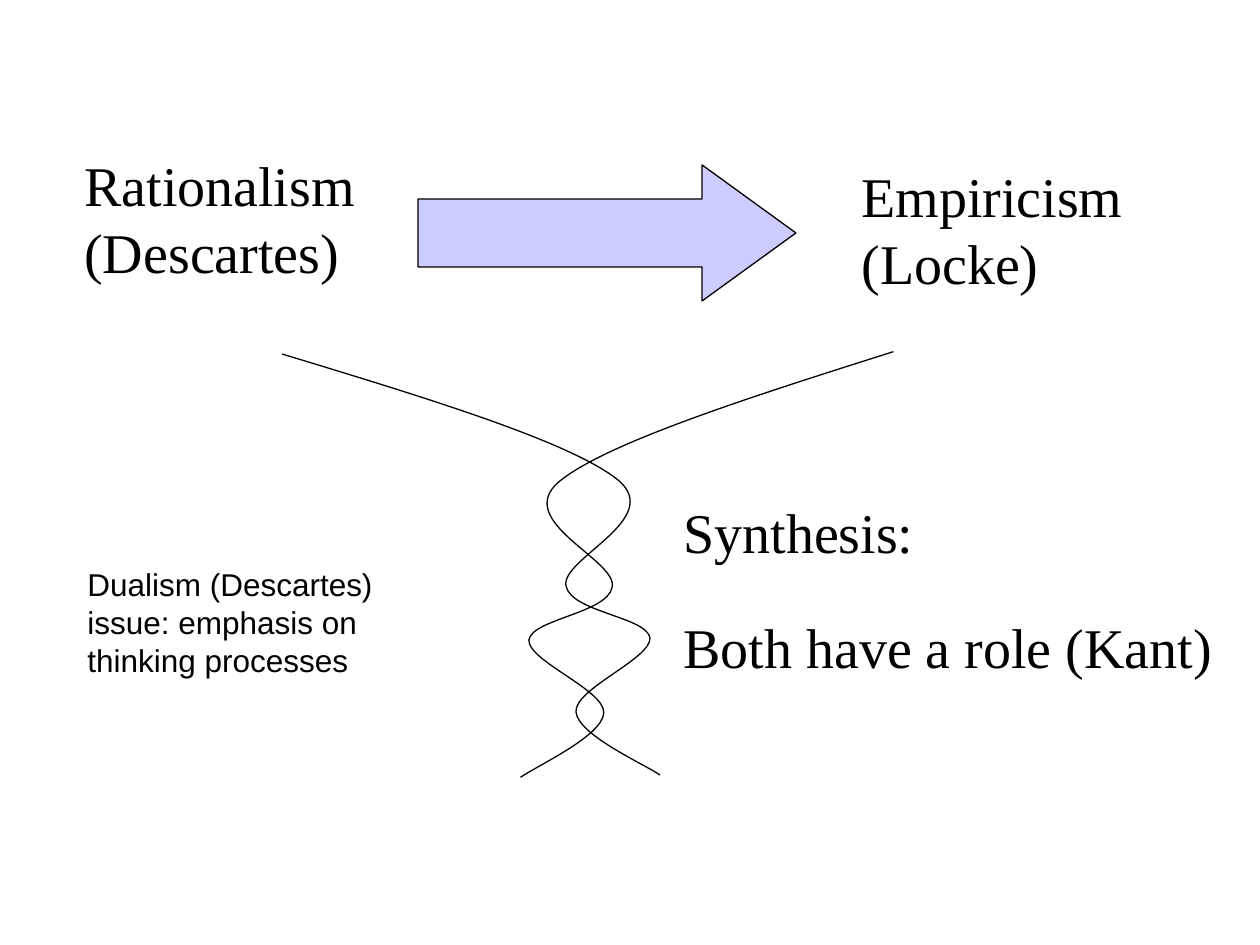
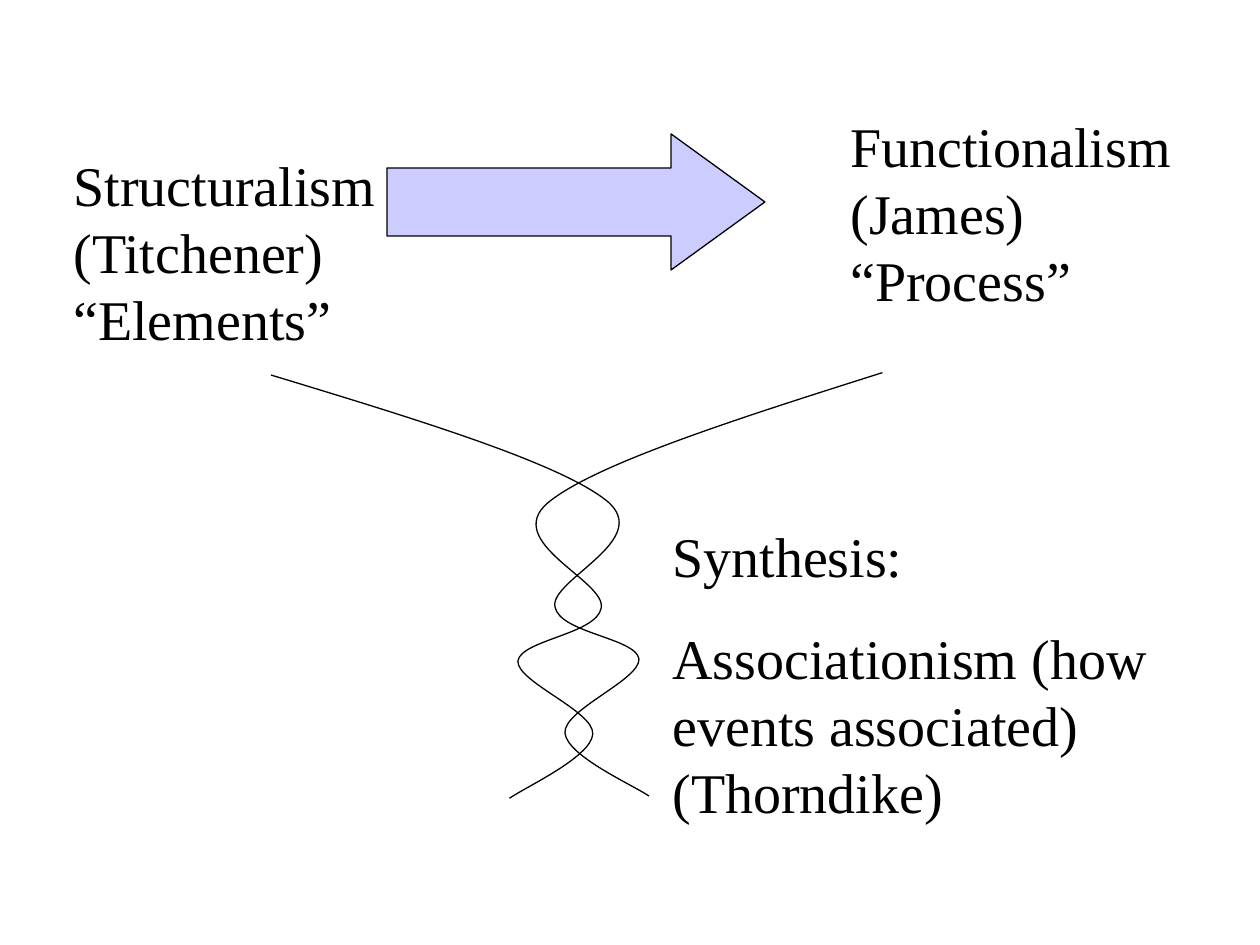
from dataclasses import dataclass

from pptx import Presentation
from pptx.dml.color import RGBColor
from pptx.enum.shapes import MSO_SHAPE
from pptx.enum.text import MSO_AUTO_SIZE
from pptx.oxml.ns import qn
from pptx.oxml.xmlchemy import OxmlElement
from pptx.util import Inches, Pt

PIXEL = Inches(1) / 126


@dataclass(frozen=True)
class Theme:
    ink: RGBColor = RGBColor(0x00, 0x00, 0x00)
    arrow_fill: RGBColor = RGBColor(0xCC, 0xCC, 0xFF)
    serif: str = "Times New Roman"
    sans: str = "Arial"
    statement_size: int = 32
    note_size: int = 18
    line_width: float = 0.75


THEME = Theme()

STRAND_WIDTH = 383
STRAND_OFFSET = 231
STRAND_TILT = 359.3
STRAND_POINTS = [
    (0, 0), (145, 44), (289, 88), (336, 126),
    (383, 165), (278, 205), (284, 232),
    (289, 258), (365, 263), (368, 284),
    (369, 305), (292, 335), (294, 358),
    (296, 381), (362, 410), (378, 421),
]


def px(length):
    return round(length * PIXEL)


def style_outline(shape):
    shape.shadow.inherit = False
    shape.line.color.rgb = THEME.ink
    shape.line.width = Pt(THEME.line_width)


def add_text(slide, box, lines, font=THEME.serif, size=THEME.statement_size):
    frame = slide.shapes.add_textbox(*map(px, box)).text_frame
    frame.word_wrap = True
    frame.auto_size = MSO_AUTO_SIZE.SHAPE_TO_FIT_TEXT
    for index, line in enumerate(lines):
        paragraph = frame.add_paragraph() if index else frame.paragraphs[0]
        run = paragraph.add_run()
        run.text = line
        run.font.name = font
        run.font.size = Pt(size)
        run.font.color.rgb = THEME.ink


def add_transition_arrow(slide, left, top):
    arrow = slide.shapes.add_shape(
        MSO_SHAPE.RIGHT_ARROW, px(left), px(top), px(378), px(136)
    )
    arrow.adjustments[0] = 0.5
    arrow.adjustments[1] = 0.69
    arrow.fill.solid()
    arrow.fill.fore_color.rgb = THEME.arrow_fill
    style_outline(arrow)


def curve_segments(shape):
    segments = list(shape._element.iter(qn("a:lnTo")))
    for start in range(0, len(segments), 3):
        curve = OxmlElement("a:cubicBezTo")
        segments[start].addprevious(curve)
        for segment in segments[start:start + 3]:
            curve.append(segment[0])
            segment.getparent().remove(segment)


def add_strand(slide, left, top, points):
    builder = slide.shapes.build_freeform(*points[0], scale=PIXEL)
    builder.add_line_segments(points[1:], close=False)
    strand = builder.convert_to_shape(px(left), px(top))
    curve_segments(strand)
    strand.fill.background()
    style_outline(strand)
    return strand


def add_braid(slide, left, top):
    mirrored = [(STRAND_WIDTH - x, y) for x, y in STRAND_POINTS]
    add_strand(slide, left, top, STRAND_POINTS)
    add_strand(slide, left + STRAND_OFFSET, top, mirrored).rotation = STRAND_TILT


def add_debate_slide(presentation, thesis, antithesis, arrow, braid, synthesis):
    slide = presentation.slides.add_slide(presentation.slide_layouts[6])
    add_text(slide, *thesis)
    add_text(slide, *antithesis)
    add_transition_arrow(slide, *arrow)
    add_braid(slide, *braid)
    for box, lines in synthesis:
        add_text(slide, box, lines)
    return slide


def main():
    presentation = Presentation()
    presentation.slide_width = px(1260)
    presentation.slide_height = px(945)

    knowledge = add_debate_slide(
        presentation,
        thesis=((72, 144, 388, 147), ["Rationalism", "(Descartes)"]),
        antithesis=((849, 155, 296, 147), ["Empiricism", "(Locke)"]),
        arrow=(418, 165),
        braid=(282, 354),
        synthesis=[
            ((671, 491, 357, 147), ["Synthesis:"]),
            ((671, 606, 588, 79), ["Both have a role (Kant)"]),
        ],
    )
    add_text(
        knowledge,
        (75, 559, 387, 127),
        ["Dualism (Descartes) issue: emphasis on thinking processes"],
        THEME.sans,
        THEME.note_size,
    )

    add_debate_slide(
        presentation,
        thesis=((61, 144, 347, 214), ["Structuralism", "(Titchener)", "“Elements”"]),
        antithesis=((838, 105, 355, 214), ["Functionalism", "(James)", "“Process”"]),
        arrow=(387, 134),
        braid=(271, 375),
        synthesis=[
            ((660, 515, 357, 147), ["Synthesis:"]),
            (
                (660, 617, 588, 217),
                ["Associationism (how events associated)", "(Thorndike)"],
            ),
        ],
    )

    presentation.save("out.pptx")


if __name__ == "__main__":
    main()
